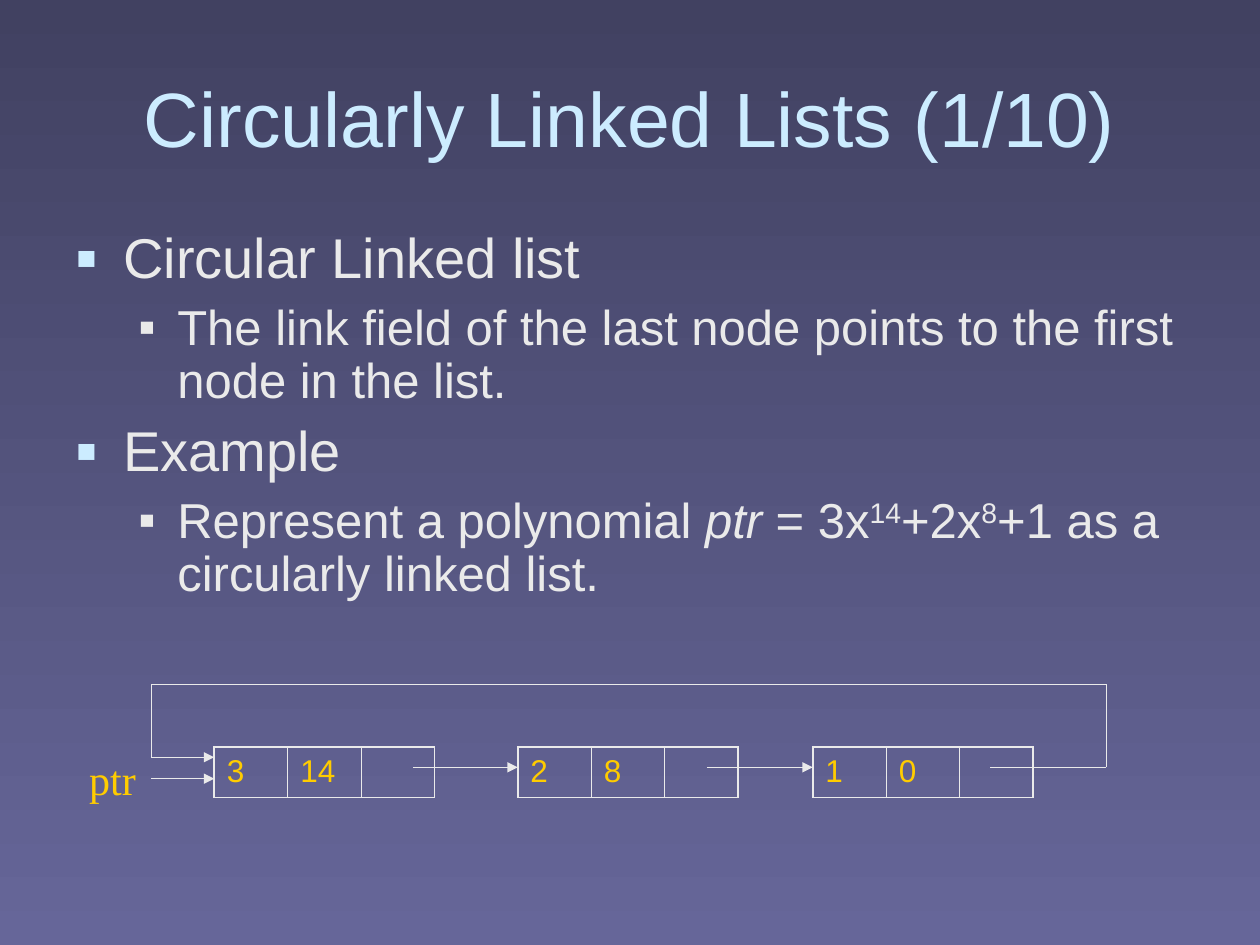
from itertools import pairwise

from lxml import etree
from pptx import Presentation
from pptx.dml.color import RGBColor
from pptx.enum.shapes import MSO_CONNECTOR
from pptx.enum.text import MSO_ANCHOR, PP_ALIGN
from pptx.oxml.ns import qn
from pptx.util import Inches, Pt

STRAIGHT = MSO_CONNECTOR.STRAIGHT
MIDDLE = MSO_ANCHOR.MIDDLE
CENTER = PP_ALIGN.CENTER
LIGHT = "EAEAEA"
PALE_BLUE = "CCECFF"
GOLD = "FFCC00"


def color(hex_value):
    return RGBColor.from_string(hex_value)


def write(paragraph, text, size, fill, font="Arial", italic=False, baseline=0):
    run = paragraph.add_run()
    run.text = text
    run.font.name = font
    run.font.size = Pt(size)
    run.font.italic = italic
    run.font.color.rgb = color(fill)
    if baseline:
        run.font._element.set("baseline", str(baseline * 1000))


prs = Presentation()
prs.slide_width = Inches(10)
prs.slide_height = Inches(7.5)
slide = prs.slides.add_slide(prs.slide_layouts[5])

backdrop = slide.background.fill
backdrop.gradient()
backdrop.gradient_angle = 270
for stop, shade in zip(backdrop.gradient_stops, ("414161", "666699")):
    stop.color.rgb = color(shade)

title = slide.shapes.title
title.left, title.top = Inches(0.5), Inches(0.3)
title.width, title.height = Inches(9), Inches(1.25)
title.text_frame.vertical_anchor = MIDDLE
heading = title.text_frame.paragraphs[0]
heading.alignment = CENTER
write(heading, "Circularly Linked Lists (1/10)", 44, PALE_BLUE)

outline = [
    (0, [("Circular Linked list", {})]),
    (1, [("The link field of the last node points to the first node in the list.", {})]),
    (0, [("Example", {})]),
    (1, [
        ("Represent a polynomial ", {}),
        ("ptr", {"italic": True}),
        (" = 3x", {}),
        ("14", {"baseline": 30}),
        ("+2x", {}),
        ("8", {"baseline": 30}),
        ("+1 as a circularly linked list.", {}),
    ]),
]
level_formats = [
    (32, 8, 0.38, 0.38, PALE_BLUE, 115),
    (28, 7, 0.81, 0.31, LIGHT, 100),
]
body = slide.shapes.add_textbox(Inches(0.5), Inches(1.78), Inches(9), Inches(3.23)).text_frame
body.word_wrap = True
for index, (level, pieces) in enumerate(outline):
    size, space, margin, hanging, bullet_fill, bullet_size = level_formats[level]
    point = body.add_paragraph() if index else body.paragraphs[0]
    point.level = level
    point.line_spacing = 0.9
    point.space_before = Pt(space if index else 0)
    props = point._p.get_or_add_pPr()
    props.set("marL", str(Inches(margin)))
    props.set("indent", str(-Inches(hanging)))
    bullet_color = etree.SubElement(props, qn("a:buClr"))
    etree.SubElement(bullet_color, qn("a:srgbClr"), val=bullet_fill)
    etree.SubElement(props, qn("a:buSzPct"), val=str(bullet_size * 1000))
    etree.SubElement(props, qn("a:buFont"), typeface="Arial")
    etree.SubElement(props, qn("a:buChar"), char="▪")
    for text, style in pieces:
        write(point, text, size, LIGHT, **style)

link_routes = [
    ([(3.28, 6.09), (4.11, 6.09)]),
    ([(5.61, 6.09), (6.45, 6.09)]),
    ([(7.86, 6.09), (8.78, 6.09), (8.78, 5.43), (1.2, 5.43), (1.2, 6.01), (1.7, 6.01)]),
    ([(1.2, 6.18), (1.7, 6.18)]),
]
for route in link_routes:
    for start, end in pairwise(route):
        link = slide.shapes.add_connector(STRAIGHT, *map(Inches, start + end))
        link.line.color.rgb = color(LIGHT)
        link.line.width = Pt(0.75)
        if end == route[-1]:
            etree.SubElement(link.line._get_or_add_ln(), qn("a:tailEnd"), type="triangle")
        etree.SubElement(link._element.spPr, qn("a:effectLst"))

pointer = slide.shapes.add_textbox(Inches(0.61), Inches(5.93), Inches(0.58), Inches(0.5))
pointer.text_frame.word_wrap = False
write(pointer.text_frame.paragraphs[0], "ptr", 24, GOLD, font="Times New Roman")

nodes = [(1.7, ("3", "14", "")), (4.11, ("2", "8", "")), (6.45, ("1", "0", ""))]
for left, fields in nodes:
    node = slide.shapes.add_table(
        1, 3, Inches(left), Inches(5.93), Inches(1.75), Inches(0.4)
    ).table
    node.first_row = False
    node.horz_banding = False
    for column, field in enumerate(fields):
        cell = node.cell(0, column)
        if field:
            write(cell.text_frame.paragraphs[0], field, 18, GOLD)
        cell_props = cell._tc.get_or_add_tcPr()
        outer_left, outer_right = column == 0, column == 2
        for side, outer in (("L", outer_left), ("R", outer_right), ("T", True), ("B", True)):
            width = Pt(1.08 if outer else 0.45)
            border = etree.SubElement(cell_props, qn(f"a:ln{side}"), w=str(width))
            border_fill = etree.SubElement(border, qn("a:solidFill"))
            etree.SubElement(border_fill, qn("a:srgbClr"), val=LIGHT)
        cell.fill.background()

prs.save("out.pptx")
